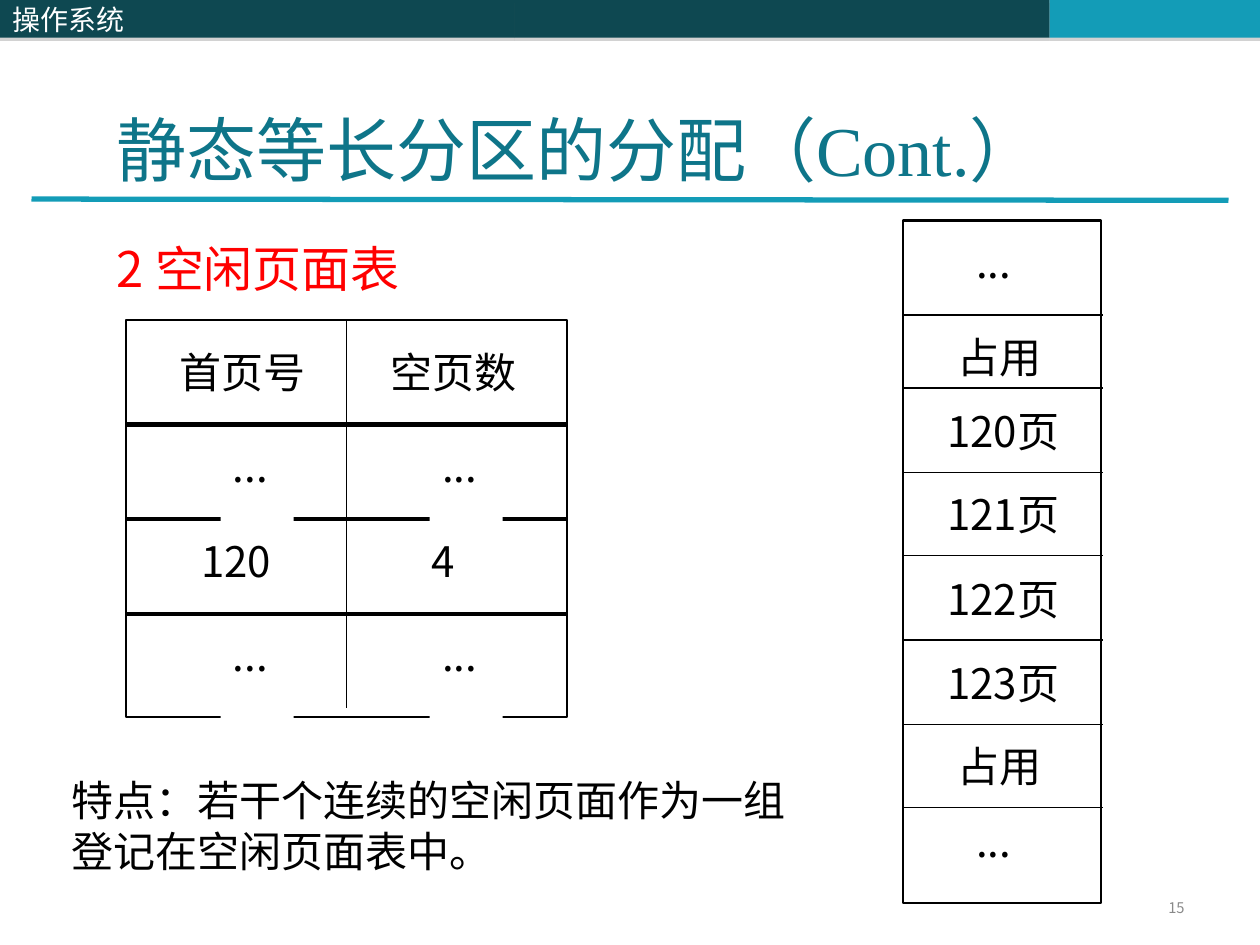
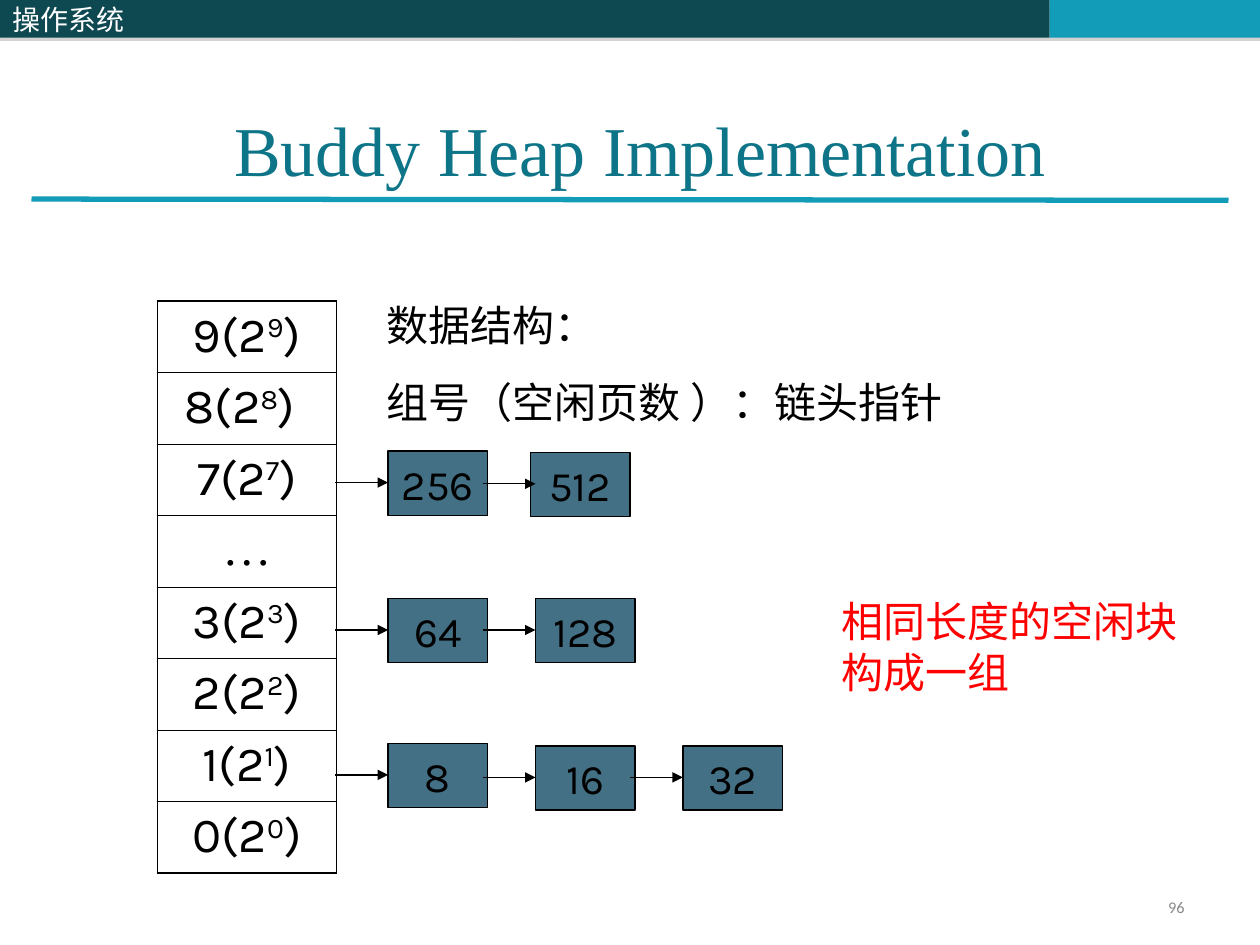
from dataclasses import dataclass
from lxml import etree
from pptx import Presentation
from pptx.dml.color import RGBColor as RGB
from pptx.enum.shapes import MSO_CONNECTOR as Connector, MSO_SHAPE as Shape
from pptx.enum.text import MSO_ANCHOR as Anchor, PP_ALIGN as Align
from pptx.oxml.ns import qn
from pptx.util import Inches, Pt


@dataclass(frozen=True)
class Theme:
    dark: str = "0E4851"
    teal: str = "139CB7"
    title: str = "0E7589"
    node: str = "437085"
    black: str = "000000"
    white: str = "FFFFFF"
    red: str = "FF0000"
    grey: str = "898989"
    shadow: str = "808080"
    sans: str = "Noto Sans CJK SC"
    serif: str = "Times New Roman"
    karla: str = "Karla"
    title_size: float = 40
    heading_size: float = 28
    body_size: float = 24
    band_size: float = 16


theme = Theme()


def write(target, text="", at=None, size=theme.body_size, font=theme.sans,
          color=theme.black, fill=None, edge=None, align=Align.LEFT,
          anchor=Anchor.TOP, wrap=True, gap=0, spacing=None):
    """Write text in a new box at (left, top, width, height), or in a table cell.

    Text between carets is superscript; each line is a paragraph.
    """
    holder = target
    if at:
        area = [Inches(v) for v in at]
        if fill:
            holder = target.shapes.add_shape(Shape.RECTANGLE, *area)
            holder.shadow.inherit = False
            holder.fill.solid()
            holder.fill.fore_color.rgb = RGB.from_string(fill)
            if edge:
                holder.line.color.rgb = RGB.from_string(theme.black)
                holder.line.width = Pt(edge)
            else:
                holder.line.fill.background()
        else:
            holder = target.shapes.add_textbox(*area)
        holder.text_frame.vertical_anchor = anchor
        holder.text_frame.word_wrap = wrap
    frame = holder.text_frame
    for i, line_text in enumerate(text.split("\n")):
        para = frame.add_paragraph() if i else frame.paragraphs[0]
        para.alignment = align
        if i:
            para.space_before = Pt(gap)
        if spacing:
            para.line_spacing = spacing
        for j, part in enumerate(line_text.split("^")):
            if not part:
                continue
            run = para.add_run()
            run.text = part
            run.font.size = Pt(size)
            run.font.name = font
            run.font.color.rgb = RGB.from_string(color)
            props = run.font._element
            etree.SubElement(props, qn("a:ea"), typeface=theme.sans)
            if j % 2:
                props.set("baseline", "30000")
    return holder


def rule(slide, x1, y1, x2, y2, width=0.75, color=theme.black, arrow=False):
    """Draw a straight line, with an arrowhead at its end if asked."""
    line = slide.shapes.add_connector(
        Connector.STRAIGHT, Inches(x1), Inches(y1), Inches(x2), Inches(y2))
    line.line.color.rgb = RGB.from_string(color)
    line.line.width = Pt(width)
    if arrow:
        etree.SubElement(line.line._get_or_add_ln(), qn("a:tailEnd"), type="triangle")
    etree.SubElement(line._element.spPr, qn("a:effectLst"))


deck = Presentation()
deck.slide_width, deck.slide_height = Inches(10), Inches(7.5)

# Shared bands, title rule and page numbers
pages = []
for number, number_size, number_font in (("15", 8.4, theme.sans), ("96", 9.3, "Calibri")):
    page = deck.slides.add_slide(deck.slide_layouts[6])
    for left, width, fill, label in ((4.08, 4.25, theme.dark, ""),
                                     (8.33, 1.67, theme.teal, ""),
                                     (0, 4.08, theme.dark, "操作系统")):
        band = write(page, label, (left, 0, width, 0.3), size=theme.band_size,
                     color=theme.white, fill=fill, anchor=Anchor.MIDDLE)
        effects = band._element.spPr.find(qn("a:effectLst"))
        cast = etree.SubElement(effects, qn("a:outerShdw"), dist=str(Pt(1.8)),
                                dir="5400000", rotWithShape="0")
        tint = etree.SubElement(cast, qn("a:srgbClr"), val=theme.shadow)
        etree.SubElement(tint, qn("a:alpha"), val="35000")
    rule(page, 0.25, 1.58, 9.75, 1.59, 3, theme.teal)
    write(page, number, (7.17, 7.08, 2.33, 0.27), size=number_size, font=number_font,
          color=theme.grey, align=Align.RIGHT, anchor=Anchor.MIDDLE, spacing=0.8)
    pages.append(page)
partition, buddy = pages

# Slide 1: titles
write(partition, "静态等长分区的分配（Cont.）", (0.83, 0.31, 8.5, 1.25), size=theme.title_size,
      font=theme.serif, color=theme.title, anchor=Anchor.BOTTOM)
write(partition, "2 空闲页面表", (0.83, 1.16, 9.36, 1.25), size=theme.heading_size,
      color=theme.red, anchor=Anchor.BOTTOM)

# Slide 1: free page table, whose white labels cover parts of its rules
write(partition, at=(1, 2.54, 3.5, 3.15), fill=theme.white, edge=1.25)
for y, width in ((3.37, 3), (4.12, 2.25), (4.87, 2.25)):
    rule(partition, 1, y, 4.5, y, width)
rule(partition, 2.75, 2.54, 2.75, 5.62)
free_pages = [
    (2.7, 0.5, [("首页号", 1.33, 1.25), ("空页数", 3, 1.25)]),
    (3.45, 1.3, [("...", 1.75, 0.58), ("...", 3.41, 0.58)]),
    (4.95, 1.3, [("...", 1.75, 0.58), ("...", 3.41, 0.58)]),
    (4.2, 0.5, [("120", 1.5, 1.08), ("4", 3.33, 0.75)]),
]
for top, height, entries in free_pages:
    for entry, left, width in entries:
        write(partition, entry, (left, top, width, height), fill=theme.white)
write(partition, "特点：若干个连续的空闲页面作为一组登记在空闲页面表中。", (0.47, 6.1, 6.14, 0.9))

# Slide 1: memory column
write(partition, at=(7.17, 1.75, 1.57, 5.42), fill=theme.white, edge=1.25)
for y in [2.5] + [round(3.08 + i * 2 / 3, 2) for i in range(6)]:
    rule(partition, 7.17, y, 8.75, y)
memory = [("...", 7.65, 1.83), ("占用", 7.5, 2.58), ("120页", 7.42, 3.17),
          ("121页", 7.42, 3.83), ("122页", 7.42, 4.5), ("123页", 7.42, 5.17),
          ("占用", 7.5, 5.83), ("...", 7.65, 6.42)]
for state, left, top in memory:
    write(partition, state, (left, top, 1.17, 0.5))

# Slide 2: title and notes
write(buddy, "Buddy Heap Implementation", (0.83, 0.6, 8.5, 1.15), size=theme.title_size,
      font=theme.serif, color=theme.title, align=Align.CENTER, anchor=Anchor.MIDDLE)
write(buddy, "数据结构：\n组号（空闲页数 ）：链头指针", (2.97, 2.33, 6.08, 1.11), gap=15)
write(buddy, "相同长度的空闲块构成一组", (6.58, 4.68, 2.92, 0.9), color=theme.red)

# Slide 2: group heads
orders = [9, 8, 7, None, 3, 2, 1, 0]
heads = buddy.shapes.add_table(len(orders), 1, Inches(1.25), Inches(2.39),
                               Inches(1.42), Inches(4.53)).table
heads.first_row = heads.horz_banding = False
for row, order in enumerate(orders):
    cell = heads.cell(row, 0)
    write(cell, "…" if order is None else f"{order}(2^{order}^)", size=theme.heading_size,
          font=theme.serif if order is None else theme.karla, align=Align.CENTER)
    cell.margin_left = Inches(0.1)
    cell.margin_right = Inches(0.21 if order == 8 else 0.1)
    cell.margin_top = cell.margin_bottom = Inches(0.05)
    borders = cell._tc.get_or_add_tcPr()
    for side, width in (("L", 1.08), ("R", 1.08), ("T", 0.45 if row else 1.08),
                        ("B", 0.45 if row < len(orders) - 1 else 1.08)):
        border = etree.SubElement(borders, qn(f"a:ln{side}"), w=str(Pt(width)))
        ink = etree.SubElement(border, qn("a:solidFill"))
        etree.SubElement(ink, qn("a:srgbClr"), val=theme.black)
    cell.fill.background()

# Slide 2: chains of free blocks (start pages, node pitch, first top, drop of later nodes)
chains = [(("256", "512"), 1.13, 3.58, 0.01),
          (("64", "128"), 1.17, 4.75, 0),
          (("8", "16", "32"), 1.17, 5.9, 0.02)]
for starts, pitch, first_top, drop in chains:
    for i, start in enumerate(starts):
        top = first_top + (drop if i else 0)
        write(buddy, start, (3.08 + i * pitch, top, 0.79, 0.51), font=theme.karla,
              fill=theme.node, edge=0.75, align=Align.CENTER, anchor=Anchor.MIDDLE,
              wrap=False)
        tip = 3.08 + i * 1.17
        rule(buddy, tip - 0.42, top + 0.25, tip, top + 0.25, arrow=True)

deck.save("out.pptx")
